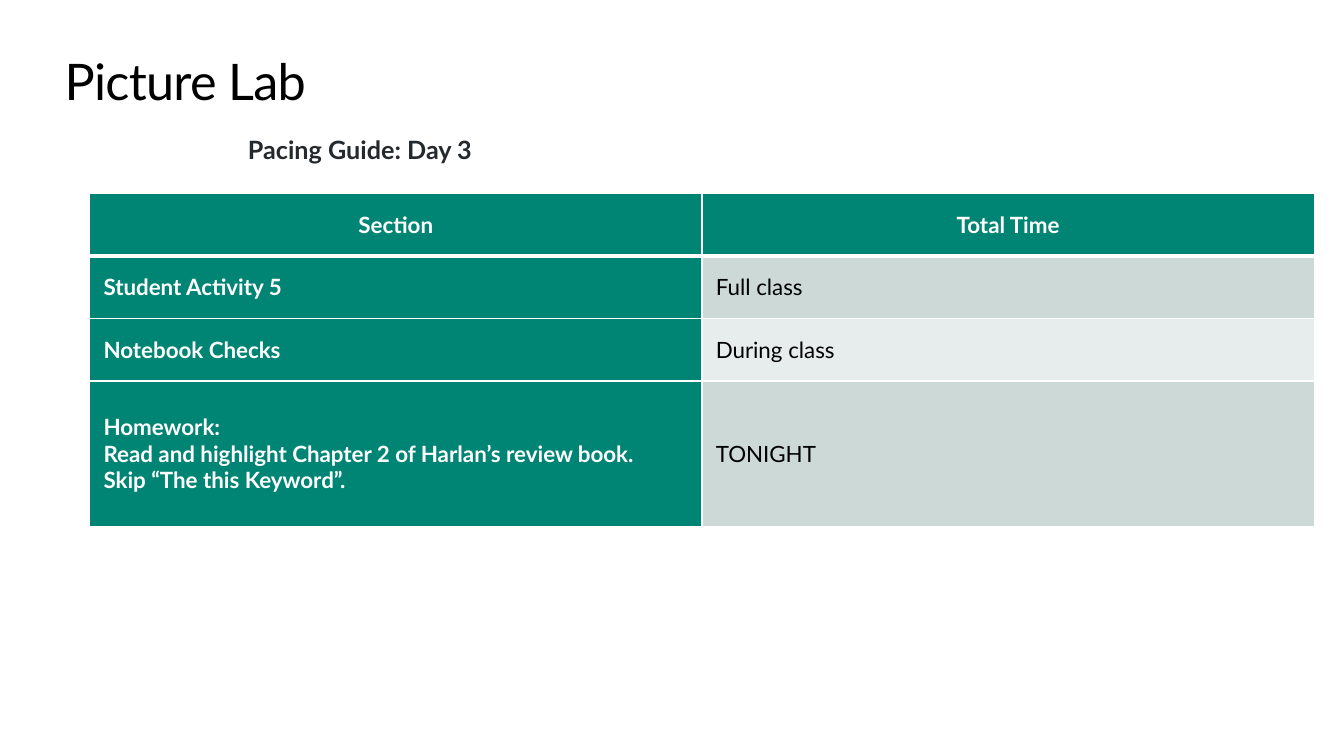
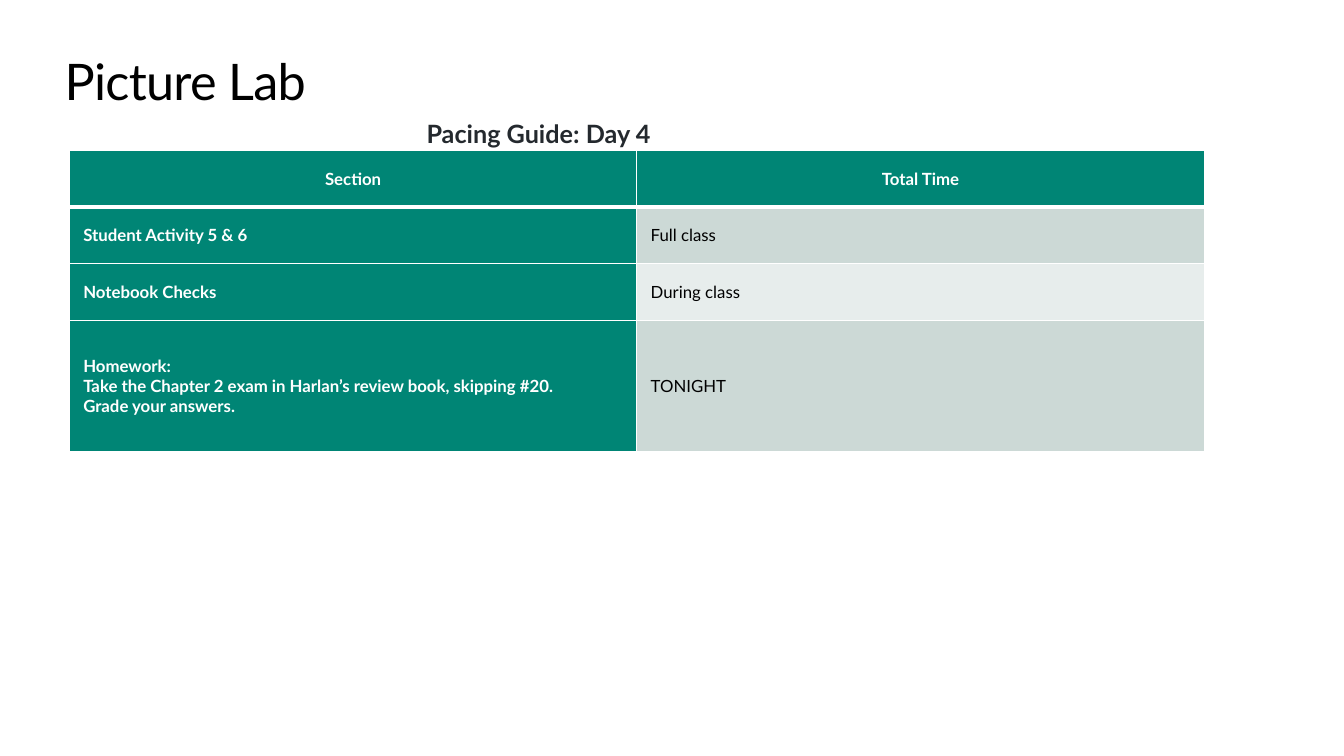
from copy import deepcopy

from lxml import etree
from pptx import Presentation
from pptx.dml.color import RGBColor
from pptx.enum.text import MSO_ANCHOR, MSO_AUTO_SIZE, PP_ALIGN
from pptx.oxml.ns import qn
from pptx.util import Cm, Pt

MIDDLE = MSO_ANCHOR.MIDDLE
FIT = MSO_AUTO_SIZE.SHAPE_TO_FIT_TEXT
LEFT, CENTER = PP_ALIGN.LEFT, PP_ALIGN.CENTER

BLACK = RGBColor(0x00, 0x00, 0x00)
WHITE = RGBColor(0xFF, 0xFF, 0xFF)
INK = RGBColor(0x24, 0x29, 0x2E)
TEAL = RGBColor(0x00, 0x85, 0x75)
BANDS = (RGBColor(0xCC, 0xD9, 0xD6), RGBColor(0xE7, 0xED, 0xEC))

FONT = "Lato"
TITLE_BOX = (1.63, 1.27, 30.6, 1.55)
TITLE_STYLE = {"size": Pt(36), "bold": False}
SUBTITLE_STYLE = {"size": Pt(18), "bold": True}
HEADER = ("Section", "Total Time")
TIMES = ("Full class", "During class", "TONIGHT")
CELL_MARGINS = {"margin_left": Cm(0.35), "margin_right": Cm(0.35),
                "margin_top": Cm(0.15), "margin_bottom": Cm(0.15)}


def write(p, text, style, color):
    """Fill a paragraph, giving runs and line breaks the same format."""
    p.text = text
    for r in p.runs:
        r.font.name = FONT
        r.font.color.rgb = color
        for name, value in style.items():
            setattr(r.font, name, value)
    for br in p._p.findall(qn("a:br")):
        br.insert(0, deepcopy(p.runs[0].font._element))


def add_text(slide, box, text, style, color):
    sp = slide.shapes.add_textbox(*map(Cm, box))
    tf = sp.text_frame
    tf.word_wrap = True
    tf.auto_size = FIT
    for side in ("left", "top", "right", "bottom"):
        setattr(tf, f"margin_{side}", 0)
    write(tf.paragraphs[0], text, style, color)
    return tf.paragraphs[0]


def add_title(slide):
    p = add_text(slide, TITLE_BOX, "Picture Lab", TITLE_STYLE, BLACK)
    p.runs[0].font._element.set("spc", "-50")


def set_borders(cell, widths):
    tc_pr = cell._tc.get_or_add_tcPr()
    for i, (tag, width) in enumerate(widths.items()):
        ln = etree.Element(qn(f"a:{tag}"), w=str(Pt(width)))
        fill = etree.SubElement(ln, qn("a:solidFill"))
        etree.SubElement(fill, qn("a:srgbClr"), val=str(WHITE))
        tc_pr.insert(i, ln)


def add_schedule(slide, box, last_height, size, sections):
    """Table with equal columns; the last row is taller than the others."""
    rows = [HEADER, *zip(sections, TIMES)]
    left, top, width, height = box
    table = slide.shapes.add_table(len(rows), len(HEADER),
                                   *map(Cm, box)).table
    table.horz_banding = False
    for col in table.columns:
        col.width = Cm(width / len(HEADER))
    for row in table.rows:
        row.height = Cm((height - last_height) / (len(rows) - 1))
    table.rows[len(rows) - 1].height = Cm(last_height)

    for i, texts in enumerate(rows):
        for j, text in enumerate(texts):
            cell = table.cell(i, j)
            strong = i == 0 or j == 0
            cell.fill.solid()
            cell.fill.fore_color.rgb = TEAL if strong else BANDS[(i - 1) % 2]
            cell.vertical_anchor = MIDDLE
            for name, value in CELL_MARGINS.items():
                setattr(cell, name, value)
            set_borders(cell, {"lnL": 1, "lnR": 1,
                               "lnT": 3 if i == 1 else 1,
                               "lnB": 3 if i == 0 else 1})
            p = cell.text_frame.paragraphs[0]
            p.alignment = CENTER if i == 0 else LEFT
            p.space_after = Pt(12)
            write(p, text, {"size": Pt(size), "bold": strong},
                  WHITE if strong else BLACK)


def add_pacing_slide(prs, day, subtitle_at, **schedule):
    slide = prs.slides.add_slide(prs.slide_layouts[6])
    add_title(slide)
    add_schedule(slide, **schedule)
    add_text(slide, (*subtitle_at, 7.62, 0.76), f"Pacing Guide: Day {day}",
             SUBTITLE_STYLE, INK)


def main():
    prs = Presentation()
    prs.slide_width, prs.slide_height = Cm(33.87), Cm(19.05)

    # Day 3
    add_pacing_slide(
        prs, 3, (6.25, 3.38),
        box=(2.26, 4.88, 30.86, 8.38), last_height=3.66, size=16,
        sections=("Student Activity 5", "Notebook Checks",
                  "Homework:\nRead and highlight Chapter 2 of Harlan’s "
                  "review book.\nSkip “The this Keyword”."))

    # Day 4
    add_pacing_slide(
        prs, 4, (10.75, 2.97),
        box=(1.75, 3.78, 28.6, 7.6), last_height=3.3, size=12,
        sections=("Student Activity 5 & 6", "Notebook Checks",
                  "Homework:\nTake the Chapter 2 exam in Harlan’s review "
                  "book, skipping #20.\nGrade your answers."))

    prs.save("out.pptx")


if __name__ == "__main__":
    main()
